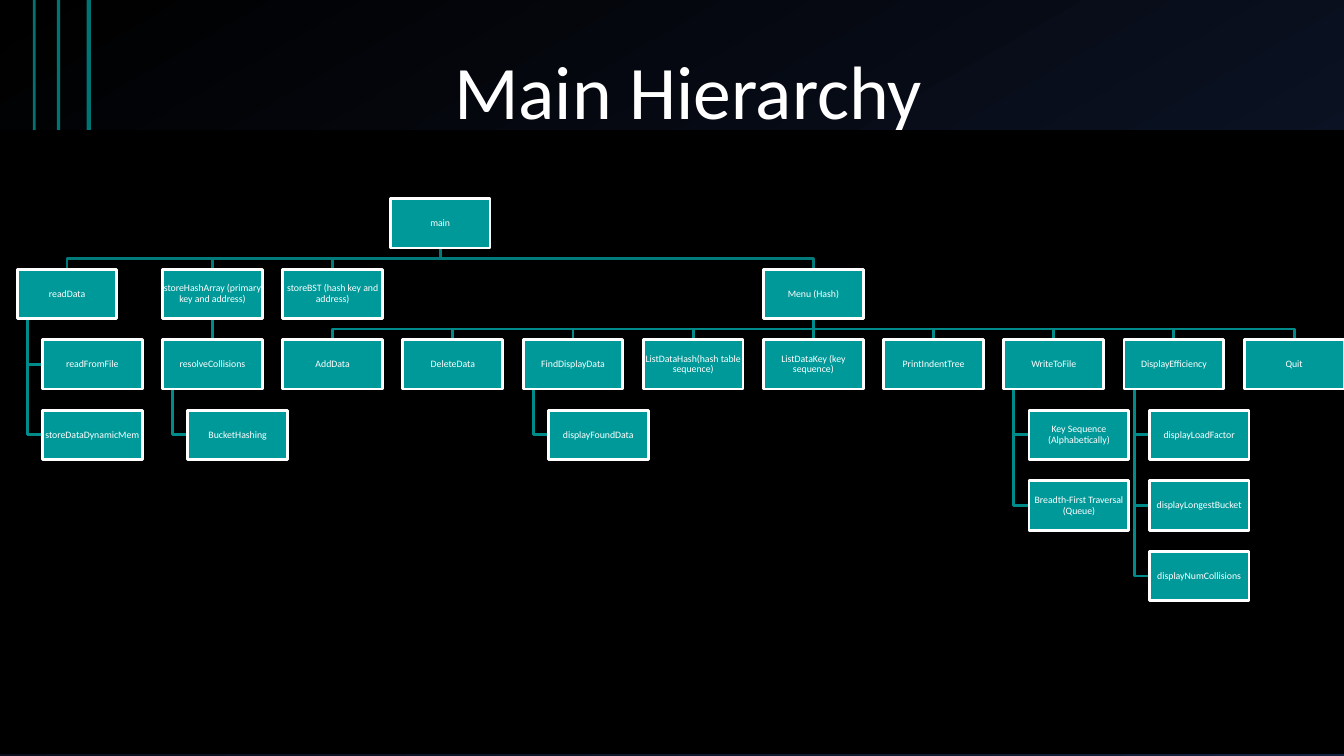
"""Build the Main Hierarchy slide: a title above a call tree of program functions."""
from copy import deepcopy
from dataclasses import dataclass
from typing import Iterator

from pptx import Presentation
from pptx.dml.color import RGBColor
from pptx.enum.shapes import MSO_SHAPE
from pptx.enum.text import MSO_ANCHOR, MSO_AUTO_SIZE, PP_ALIGN
from pptx.oxml.ns import qn
from pptx.shapes.autoshape import Shape
from pptx.slide import Slide
from pptx.util import Inches, Pt

Point = tuple[float, float]


@dataclass(frozen=True)
class Theme:
    font: str = "Calibri"
    text: str = "FFFFFF"
    box: str = "009999"
    panel: str = "000000"
    trim: str = "007373"
    trunk: str = "007B7B"
    branch: str = "008B8B"
    fade: tuple = ((0, "000000"), (0.85, "0F1931"), (1, "142242"))
    title: float = 54
    label: float = 7
    line: float = 2


@dataclass(frozen=True)
class Node:
    text: str
    col: float = 0
    kids: tuple["Node", ...] = ()
    hang: bool = False


@dataclass(frozen=True)
class Spot:
    node: Node
    left: float
    top: float
    level: int


@dataclass(frozen=True)
class Link:
    points: tuple[Point, ...]
    color: str


@dataclass(frozen=True)
class Trim:
    x: float
    knee: float
    foot: float
    width: float


THEME = Theme()
WIDE, HIGH = 0.99, 0.49
LEFT, TOP = 0.42, 1.97
PITCH, STEP = 11.92 / 10, 0.7
INDENT, STALK = 0.25, 0.1

TRIMS = (
    Trim(0.88, 4.35, 5.72, 3),
    Trim(0.58, 4.08, 4.99, 2.25),
    Trim(0.34, 3.81, 4.34, 2),
)


def leaves(*names: str) -> tuple[Node, ...]:
    return tuple(Node(name) for name in names)


MENU = (
    Node("AddData", 2),
    Node("DeleteData", 3),
    Node("FindDisplayData", 4, leaves("displayFoundData"), True),
    Node("ListDataHash(hash table sequence)", 5),
    Node("ListDataKey (key sequence)", 6),
    Node("PrintIndentTree", 7),
    Node("WriteToFile", 8, leaves(
        "Key Sequence (Alphabetically)", "Breadth-First Traversal (Queue)"), True),
    Node("DisplayEfficiency", 9, leaves(
        "displayLoadFactor", "displayLongestBucket", "displayNumCollisions"), True),
    Node("Quit", 10),
)
READ = Node("readData", -0.21, leaves("readFromFile", "storeDataDynamicMem"), True)
HASH = Node("storeHashArray (primary key and address)", 1, (
    Node("resolveCollisions", 1, leaves("BucketHashing"), True),))
TREE = Node("main", (READ.col + 6) / 2, (
    READ, HASH, Node("storeBST (hash key and address)", 2), Node("Menu (Hash)", 6, MENU)))


def color(value: str) -> RGBColor:
    return RGBColor.from_string(value)


def children(spot: Spot) -> list[Spot]:
    return [
        Spot(
            kid,
            spot.left + INDENT if spot.node.hang else LEFT + PITCH * kid.col,
            spot.top + STEP * (rank if spot.node.hang else 1),
            spot.level + 1,
        )
        for rank, kid in enumerate(spot.node.kids, 1)
    ]


def walk(spot: Spot) -> Iterator[Spot]:
    yield spot
    for kid in children(spot):
        yield from walk(kid)


def route(spot: Spot, kid: Spot) -> Link:
    base = spot.top + HIGH
    if spot.node.hang:
        x, y = spot.left + STALK, kid.top + HIGH / 2
        points = ((x, base), (x, y), (kid.left, y))
    else:
        x, end = spot.left + WIDE / 2, kid.left + WIDE / 2
        mid = (base + kid.top) / 2
        points = ((x, base), (x, mid), (end, mid), (end, kid.top))
    return Link(points, THEME.branch if spot.level else THEME.trunk)


def draw_path(slide: Slide, link: Link, width: float) -> None:
    first, *rest = [(Inches(x), Inches(y)) for x, y in link.points]
    pen = slide.shapes.build_freeform(*first)
    pen.add_line_segments(rest, close=False)
    shape = pen.convert_to_shape()
    shape.shadow.inherit = False
    shape.fill.background()
    shape.line.color.rgb = color(link.color)
    shape.line.width = Pt(width)


def draw_rect(slide: Slide, area: tuple[float, ...], fill: str, edge: str) -> Shape:
    shape = slide.shapes.add_shape(MSO_SHAPE.RECTANGLE, *map(Inches, area))
    shape.shadow.inherit = False
    shape.fill.solid()
    shape.fill.fore_color.rgb = color(fill)
    shape.line.color.rgb = color(edge)
    shape.line.width = Pt(THEME.line)
    return shape


def write(shape: Shape, text: str, size: float, anchor: MSO_ANCHOR,
          pad: Point) -> None:
    frame = shape.text_frame
    frame.text = text
    frame.word_wrap = True
    frame.auto_size = MSO_AUTO_SIZE.NONE
    frame.vertical_anchor = anchor
    frame.margin_left = frame.margin_right = Inches(pad[0])
    frame.margin_top = frame.margin_bottom = Inches(pad[1])
    line = frame.paragraphs[0]
    line.alignment = PP_ALIGN.CENTER
    line.line_spacing = 0.9
    line.font.name = THEME.font
    line.font.size = Pt(size)
    line.font.color.rgb = color(THEME.text)


def paint(slide: Slide) -> None:
    fill = slide.background.fill
    fill.gradient()
    fill.gradient_angle = 300
    stops = slide.element.find(".//" + qn("a:gsLst"))
    stops.append(deepcopy(stops[-1]))
    for stop, (place, tone) in zip(fill.gradient_stops, THEME.fade):
        stop.position = place
        stop.color.rgb = color(tone)


def main() -> None:
    deck = Presentation()
    deck.slide_width, deck.slide_height = Inches(13.33), Inches(7.5)
    slide = deck.slides.add_slide(deck.slide_layouts[5])
    paint(slide)
    title = slide.shapes.title
    title.left, title.top = Inches(1.16), Inches(0.5)
    title.width, title.height = Inches(11.33), Inches(0.92)
    write(title, "Main Hierarchy", THEME.title, MSO_ANCHOR.BOTTOM, (0.13, 0.07))
    for trim in TRIMS:
        points = ((-0.01, trim.foot), (trim.x, trim.knee), (trim.x, 0))
        draw_path(slide, Link(points, THEME.trim), trim.width)
    draw_rect(slide, (0, 1.3, 13.33, 6.17), THEME.panel, THEME.panel)
    spots = list(walk(Spot(TREE, LEFT + PITCH * TREE.col, TOP, 0)))
    for spot in spots:
        for kid in children(spot):
            draw_path(slide, route(spot, kid), THEME.line)
    for spot in spots:
        box = draw_rect(slide, (spot.left, spot.top, WIDE, HIGH), THEME.box, THEME.text)
        write(box, spot.node.text, THEME.label, MSO_ANCHOR.MIDDLE, (0, 0))
    deck.save("out.pptx")


if __name__ == "__main__":
    main()
